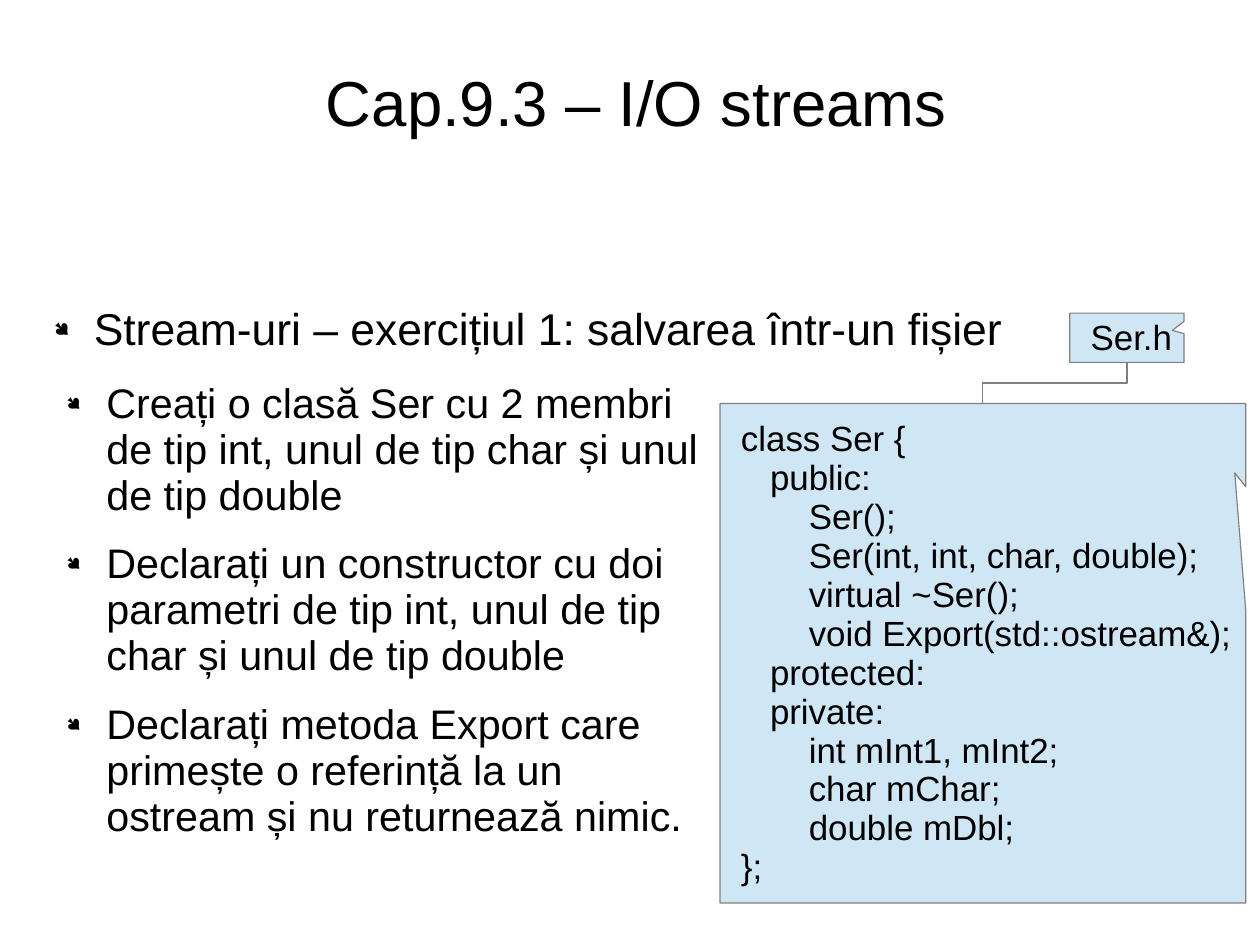
from lxml.etree import SubElement
from pptx import Presentation
from pptx.dml.color import RGBColor
from pptx.enum.shapes import MSO_CONNECTOR, MSO_SHAPE
from pptx.enum.text import MSO_ANCHOR, PP_ALIGN
from pptx.oxml.ns import qn
from pptx.util import Pt

BLACK = RGBColor(0x00, 0x00, 0x00)
GREY = RGBColor(0x80, 0x80, 0x80)
PALE_BLUE = RGBColor(0xCF, 0xE7, 0xF5)

SPACE = 6.1
CODE = [
    (0, "class Ser {"),
    (1, "public:"),
    (2, "Ser();"),
    (2, "Ser(int, int, char, double);"),
    (2, "virtual ~Ser();"),
    (2, "void Export(std::ostream&);"),
    (1, "protected:"),
    (1, "private:"),
    (2, "int mInt1, mInt2;"),
    (2, "char mChar;"),
    (2, "double mDbl;"),
    (0, "};"),
]
CODE_INDENTS = [SPACE, 4 * SPACE, 8 * SPACE]
TASKS = [
    "Creați o clasă Ser cu 2 membri de tip int, unul de tip char și unul de tip double",
    "Declarați un constructor cu doi parametri de tip int, unul de tip char și unul de tip double",
    "Declarați metoda Export care primește o referință la un ostream și nu returnează nimic.",
]


def add_text(tf, text, size=22, font="Arial", color=BLACK, align=PP_ALIGN.LEFT,
             indent=0, hanging=0, after=0, bullet=None):
    p = tf.paragraphs[-1]
    if p.runs:
        p = tf.add_paragraph()
    p.alignment = align
    p.line_spacing = 0.93
    p.space_after = Pt(after)
    pPr = p._p.get_or_add_pPr()
    pPr.set("marL", str(Pt(indent)))
    pPr.set("indent", str(Pt(-hanging)))
    if bullet:
        clr = SubElement(pPr, qn("a:buClr"))
        SubElement(clr, qn("a:srgbClr"), val=str(color))
        SubElement(pPr, qn("a:buSzPct"), val="45000")
        SubElement(pPr, qn("a:buFont"), typeface="Wingdings", charset="2")
        SubElement(pPr, qn("a:buChar"), char=bullet)
    r = p.add_run()
    r.text = text
    r.font.size = Pt(size)
    r.font.name = font
    r.font.color.rgb = color


class SlideBuilder:
    def __init__(self, slide, fill=PALE_BLUE, line=GREY, width=0.75):
        self.slide = slide
        self.fill = fill
        self.line = line
        self.width = width

    def frame(self, sp, insets, anchor):
        tf = sp.text_frame
        tf.word_wrap = True
        tf.vertical_anchor = anchor
        tf.margin_left, tf.margin_top, tf.margin_right, tf.margin_bottom = map(Pt, insets)
        return tf

    def text_box(self, x, y, w, h, top=1.6, anchor=MSO_ANCHOR.TOP):
        sp = self.slide.shapes.add_textbox(Pt(x), Pt(y), Pt(w), Pt(h))
        return self.frame(sp, (0, top, 0, 0), anchor)

    def bullets(self, x, y, w, h, items, size):
        tf = self.text_box(x, y, w, h)
        for item in items:
            add_text(tf, item, size=size, indent=33.9, hanging=25.2, after=14.1, bullet="●")

    def callout(self, x, y, w, h, tip):
        sp = self.slide.shapes.add_shape(
            MSO_SHAPE.RECTANGULAR_CALLOUT, Pt(x), Pt(y), Pt(w), Pt(h))
        sp.adjustments[0], sp.adjustments[1] = tip
        sp.shadow.inherit = False
        sp.fill.solid()
        sp.fill.fore_color.rgb = self.fill
        sp.line.color.rgb = self.line
        sp.line.width = Pt(self.width)
        return self.frame(sp, (7.2, 4.4, 0, 3.6), MSO_ANCHOR.MIDDLE)

    def drop_connector(self, x1, y1, x2, y2):
        cx, cy = (x1 + x2) / 2, (y1 + y2) / 2
        dx, dy = (y2 - y1) / 2, (x1 - x2) / 2
        cxn = self.slide.shapes.add_connector(
            MSO_CONNECTOR.ELBOW, Pt(cx - dx), Pt(cy - dy), Pt(cx + dx), Pt(cy + dy))
        cxn.line.color.rgb = self.line
        cxn.line.width = Pt(self.width)
        spPr = cxn._element.spPr
        spPr.find(qn("a:xfrm")).set("rot", "5400000")
        SubElement(spPr, qn("a:effectLst"))


def main():
    prs = Presentation()
    prs.slide_width, prs.slide_height = Pt(793.7), Pt(595.28)
    s = SlideBuilder(prs.slides.add_slide(prs.slide_layouts[6]))

    title = s.text_box(26, 20, 749.5, 89.3, top=2.9, anchor=MSO_ANCHOR.MIDDLE)
    add_text(title, "Cap.9.3 – I/O streams", size=40, align=PP_ALIGN.CENTER)

    s.bullets(25.2, 190.8, 637.2, 39.6,
              ["Stream-uri – exercițiul 1: salvarea într-un fișier"], 28)

    s.drop_connector(709.9, 228.3, 619, 254.2)
    label = s.callout(673.9, 197.3, 72, 31, (0.397, -0.15))
    add_text(label, "Ser.h", indent=SPACE)

    code = s.callout(453.6, 254.2, 331.2, 314.6, (0.479, -0.361))
    for level, line in CODE:
        add_text(code, line, indent=CODE_INDENTS[level])

    s.bullets(33.1, 238.8, 414, 302.4, TASKS, 26)

    prs.save("out.pptx")


if __name__ == "__main__":
    main()
